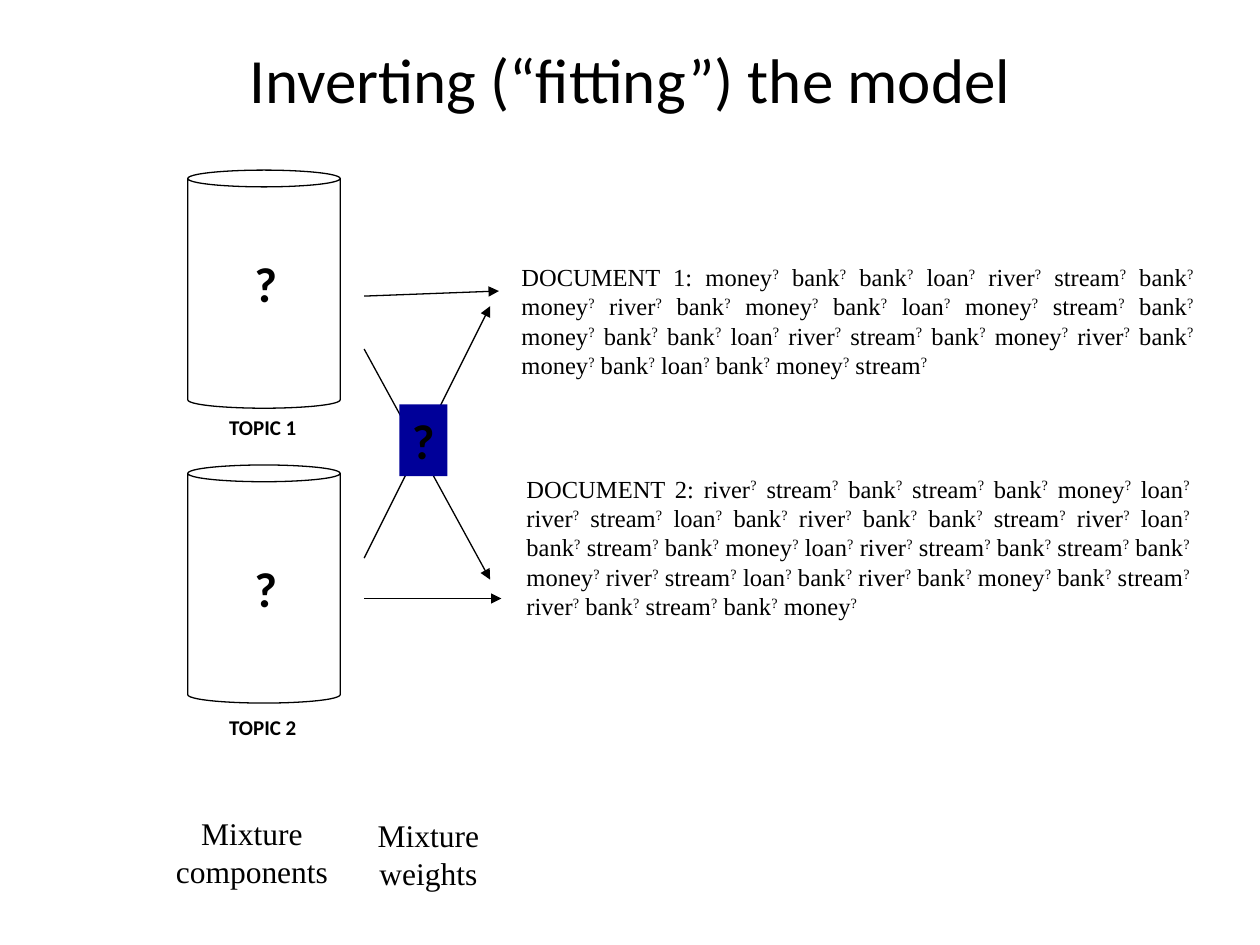
from pptx import Presentation
from pptx.dml.color import RGBColor
from pptx.enum.shapes import MSO_CONNECTOR, MSO_SHAPE
from pptx.enum.text import MSO_ANCHOR, PP_ALIGN
from pptx.oxml.ns import qn
from pptx.util import Inches, Pt
from lxml import etree

BLACK = RGBColor(0x00, 0x00, 0x00)
NAVY = RGBColor(0x00, 0x00, 0x99)
SANS = "Calibri"
SERIF = "Times New Roman"
LEFT, CENTER, JUSTIFY = PP_ALIGN.LEFT, PP_ALIGN.CENTER, PP_ALIGN.JUSTIFY
TOP, MIDDLE = MSO_ANCHOR.TOP, MSO_ANCHOR.MIDDLE
CAN, RECTANGLE = MSO_SHAPE.CAN, MSO_SHAPE.RECTANGLE
STRAIGHT = MSO_CONNECTOR.STRAIGHT

DOCUMENT_1 = (
    "DOCUMENT 1: money? bank? bank? loan? river? stream? bank? "
    "money? river? bank? money? bank? loan? money? stream? bank? "
    "money? bank? bank? loan? river? stream? bank? money? river? bank? "
    "money? bank? loan? bank? money? stream?"
)
DOCUMENT_2 = (
    "DOCUMENT 2: river? stream? bank? stream? bank? money? loan? "
    "river? stream? loan? bank? river? bank? bank? stream? river? loan? "
    "bank? stream? bank? money? loan? river? stream? bank? stream? "
    "bank? money? river? stream? loan? bank? river? bank? money? bank? "
    "stream? river? bank? stream? bank? money?"
)


def add_run(paragraph, text, font_name, size, bold, superscript=False):
    run = paragraph.add_run()
    run.text = text
    run.font.name = font_name
    run.font.size = Pt(size)
    run.font.bold = bold
    run.font.color.rgb = BLACK
    if superscript:
        run.font._element.set("baseline", "30000")


def write_text(frame, text, font_name=SANS, size=12, bold=False, align=LEFT,
               anchor=TOP, wrap=True, raise_marks=False):
    frame.word_wrap = wrap
    frame.vertical_anchor = anchor
    for index, line in enumerate(text.split("\n")):
        paragraph = frame.paragraphs[0] if index == 0 else frame.add_paragraph()
        paragraph.alignment = align
        if not raise_marks:
            add_run(paragraph, line, font_name, size, bold)
            continue
        for word in line.split("?")[:-1]:
            add_run(paragraph, word, font_name, size, bold)
            add_run(paragraph, "?", font_name, size, bold, superscript=True)


def add_label(slide, text, left, top, width, height, **text_format):
    box = slide.shapes.add_textbox(
        Inches(left), Inches(top), Inches(width), Inches(height))
    write_text(box.text_frame, text, **text_format)


def add_unknown(slide, left, top):
    add_label(slide, "?", left, top, 0.38, 0.57, size=28, bold=True, wrap=False)


def add_topic(slide, number, top, label_top):
    cylinder = slide.shapes.add_shape(
        CAN, Inches(1.49), Inches(top), Inches(1.21), Inches(1.89))
    cylinder.adjustments[0] = 0.11
    cylinder.shadow.inherit = False
    cylinder.fill.background()
    cylinder.line.color.rgb = BLACK
    cylinder.line.width = Pt(0.75)
    add_label(slide, f"TOPIC {number}", 1.72, label_top, 0.92, 0.3, bold=True)


def add_arrow(slide, start_x, start_y, end_x, end_y):
    arrow = slide.shapes.add_connector(
        STRAIGHT, Inches(start_x), Inches(start_y), Inches(end_x), Inches(end_y))
    arrow.line.color.rgb = BLACK
    arrow.line.width = Pt(0.75)
    etree.SubElement(arrow.line._get_or_add_ln(), qn("a:tailEnd"), type="triangle")
    etree.SubElement(arrow._element.spPr, qn("a:effectLst"))


def add_weight_block(slide, left, top):
    block = slide.shapes.add_shape(
        RECTANGLE, Inches(left), Inches(top), Inches(0.38), Inches(0.57))
    block.shadow.inherit = False
    block.fill.solid()
    block.fill.fore_color.rgb = NAVY
    block.line.fill.background()
    write_text(block.text_frame, "?", size=28, bold=True, wrap=False)


def main():
    presentation = Presentation()
    presentation.slide_width = Inches(10)
    presentation.slide_height = Inches(7.5)
    slide = presentation.slides.add_slide(presentation.slide_layouts[6])

    add_label(slide, "Inverting (“fitting”) the model", 0.5, 0, 9, 1.25,
              size=36, align=CENTER, anchor=MIDDLE)

    document_format = dict(font_name=SERIF, size=14, align=JUSTIFY, raise_marks=True)
    add_label(slide, DOCUMENT_1, 4.04, 2.03, 5.53, 1.39, **document_format)
    add_label(slide, DOCUMENT_2, 4.08, 3.71, 5.46, 1.63, **document_format)

    caption_format = dict(font_name=SERIF, size=18, align=CENTER, wrap=False)
    add_label(slide, "Mixture\ncomponents", 1.17, 6.41, 1.66, 0.7, **caption_format)
    add_label(slide, "Mixture\nweights", 2.79, 6.43, 1.22, 0.7, **caption_format)

    add_topic(slide, 1, 1.35, 3.24)
    add_topic(slide, 2, 3.69, 5.62)
    for top in (1.96, 4.38):
        add_unknown(slide, 1.92, top)

    for ends in ((2.35, 3.96, 2.31), (4.75, 3.98, 4.75),
                 (4.43, 3.89, 2.43), (2.77, 3.89, 4.6)):
        add_arrow(slide, 2.89, *ends)
    add_weight_block(slide, 3.17, 3.21)

    presentation.save("out.pptx")


if __name__ == "__main__":
    main()
